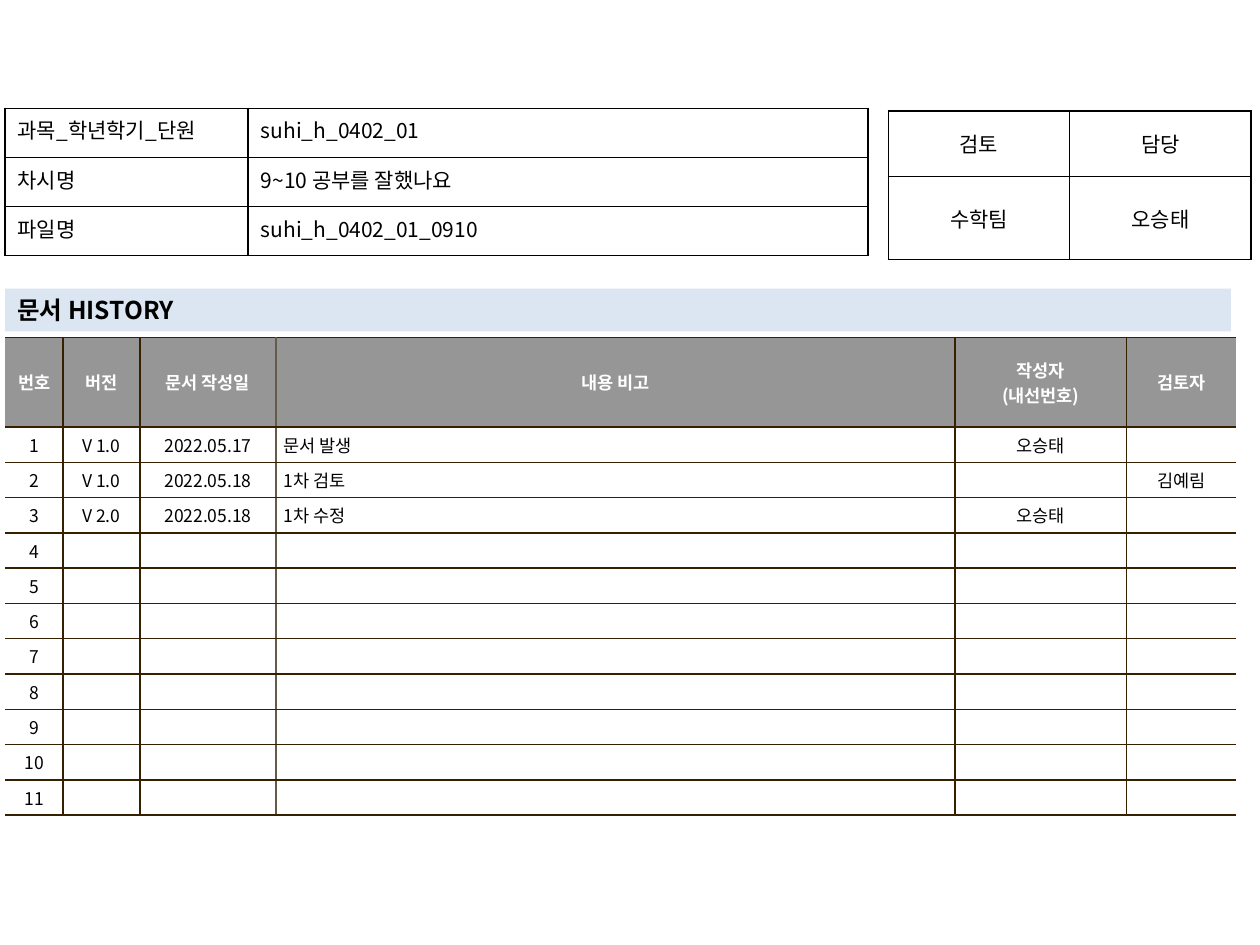
from dataclasses import dataclass
from typing import Optional

from lxml.etree import SubElement
from pptx import Presentation
from pptx.dml.color import RGBColor
from pptx.enum.shapes import MSO_SHAPE as Shape
from pptx.enum.text import MSO_ANCHOR as Anchor, PP_ALIGN as Align
from pptx.oxml.ns import qn
from pptx.util import Inches, Pt

FONT = "Noto Sans CJK KR"
COLORS = {
    "black": "000000", "white": "FFFFFF", "header": "969696",
    "band": "DCE6F2", "brown": "362000", "taupe": "645B4C",
}


@dataclass(frozen=True)
class TextStyle:
    size: float
    color: str = "black"
    bold: bool = False
    align: Align = Align.LEFT
    hanging: float = 0


@dataclass(frozen=True)
class Grid:
    left: float
    top: float
    columns: tuple[float, ...]
    rows: tuple[float, ...]
    texts: tuple[tuple[str, ...], ...]


def rgb(name: str) -> RGBColor:
    """Return the named colour."""
    return RGBColor.from_string(COLORS[name])


def write(frame, text: str, style: TextStyle) -> None:
    """Write one paragraph per line of text."""
    for index, line in enumerate(text.split("\n")):
        para = frame.add_paragraph() if index else frame.paragraphs[0]
        para.alignment = style.align
        if style.hanging:
            properties = para._p.get_or_add_pPr()
            properties.set("marL", str(Inches(style.hanging)))
            properties.set("indent", str(-Inches(style.hanging)))
        if not line:
            SubElement(para._p, qn("a:endParaRPr"), sz=str(int(style.size * 100)))
            continue
        span = para.add_run()
        span.text = line
        span.font.name = FONT
        span.font.size = Pt(style.size)
        span.font.bold = style.bold
        span.font.color.rgb = rgb(style.color)
        SubElement(span.font._element, qn("a:ea"), typeface=FONT)


def draw_borders(cell, sides: dict[str, Optional[str]]) -> None:
    """Draw the sides of a cell, leaving out those without a colour."""
    properties = cell._tc.get_or_add_tcPr()
    for index, side in enumerate("LRTB"):
        line = properties.makeelement(qn(f"a:ln{side}"), {"w": str(Pt(1))})
        properties.insert(index, line)
        if sides[side]:
            fill = SubElement(line, qn("a:solidFill"))
            SubElement(fill, qn("a:srgbClr"), val=COLORS[sides[side]])
        else:
            SubElement(line, qn("a:noFill"))


def add_grid(page, grid: Grid):
    """Add an unstyled table with the grid's sizes."""
    frame = page.shapes.add_table(
        len(grid.rows), len(grid.columns), Inches(grid.left), Inches(grid.top),
        Inches(sum(grid.columns)), Inches(sum(grid.rows)))
    table = frame.table
    table.first_row = table.horz_banding = False
    for column, width in zip(table.columns, grid.columns):
        column.width = Inches(width)
    for row, height in zip(table.rows, grid.rows):
        row.height = Inches(height)
    return table


def add_form(page, grid: Grid, aligns: tuple[Align, ...], anchor: Anchor) -> None:
    """Add a black-ruled form table."""
    table = add_grid(page, grid)
    for r, texts in enumerate(grid.texts):
        for c, text in enumerate(texts):
            cell = table.cell(r, c)
            cell.vertical_anchor = anchor
            cell.fill.background()
            draw_borders(cell, dict.fromkeys("LRTB", "black"))
            write(cell.text_frame, text, TextStyle(12, align=aligns[c]))


def add_history(page, grid: Grid, note_column: int) -> None:
    """Add the revision table, open on its left and right."""
    table = add_grid(page, grid)
    last = len(grid.columns) - 1
    edges = ["brown"] * (last + 2)
    edges[0] = edges[-1] = None
    edges[note_column] = "taupe"
    heading = TextStyle(10, "white", True, Align.CENTER)
    entry = TextStyle(10, align=Align.CENTER)
    note = TextStyle(10, hanging=0.19)
    for r, texts in enumerate(grid.texts):
        for c, text in enumerate(texts):
            cell = table.cell(r, c)
            cell.vertical_anchor = Anchor.MIDDLE
            cell.margin_left = cell.margin_right = Inches(0.06)
            cell.margin_top = cell.margin_bottom = Inches(0.04)
            cell.fill.solid()
            cell.fill.fore_color.rgb = rgb("white" if r else "header")
            draw_borders(cell, {"L": edges[c], "R": edges[c + 1], "T": "brown", "B": "brown"})
            style = heading if r == 0 else note if c == note_column else entry
            write(cell.text_frame, text, style)


def add_band(page, text: str) -> None:
    """Add the tinted section title."""
    box = page.shapes.add_shape(
        Shape.RECTANGLE, Inches(0.04), Inches(2.29), Inches(9.73), Inches(0.34))
    box.shadow.inherit = False
    box.fill.solid()
    box.fill.fore_color.rgb = rgb("band")
    box.line.fill.background()
    box.text_frame.word_wrap = True
    box.text_frame.vertical_anchor = Anchor.MIDDLE
    write(box.text_frame, text, TextStyle(14, bold=True))


def main() -> None:
    """Build the document history slide."""
    deck = Presentation()
    deck.slide_width, deck.slide_height = Inches(10), Inches(7.5)
    page = deck.slides.add_slide(deck.slide_layouts[6])
    headings = ("번호", "버전", "문서 작성일", "내용 비고", "작성자\n(내선번호)", "검토자")
    revisions = (
        ("V 1.0", "2022.05.17", "문서 발생", "오승태", ""),
        ("V 1.0", "2022.05.18", "1차 검토", "", "김예림"),
        ("V 2.0", "2022.05.18", "1차 수정", "오승태", ""),
    ) + (("",) * 5,) * 8
    entries = tuple((str(n), *revision) for n, revision in enumerate(revisions, 1))
    add_history(page, Grid(
        0.04, 2.68, (0.46, 0.61, 1.08, 5.39, 1.36, 0.87),
        (0.71,) + (0.25,) * len(entries), (headings, *entries)), note_column=3)
    add_form(page, Grid(
        7.05, 0.88, (1.44, 1.44), (0.52, 0.66),
        (("검토", "담당"), ("수학팀", "오승태"))), (Align.CENTER, Align.CENTER), Anchor.MIDDLE)
    add_band(page, "문서 HISTORY")
    add_form(page, Grid(
        0.04, 0.86, (1.93, 4.92), (0.39,) * 3,
        (("과목_학년학기_단원", "suhi_h_0402_01"),
         ("차시명", "9~10 공부를 잘했나요"),
         ("파일명", "suhi_h_0402_01_0910"))), (Align.JUSTIFY, Align.LEFT), Anchor.TOP)
    deck.save("out.pptx")


if __name__ == "__main__":
    main()
